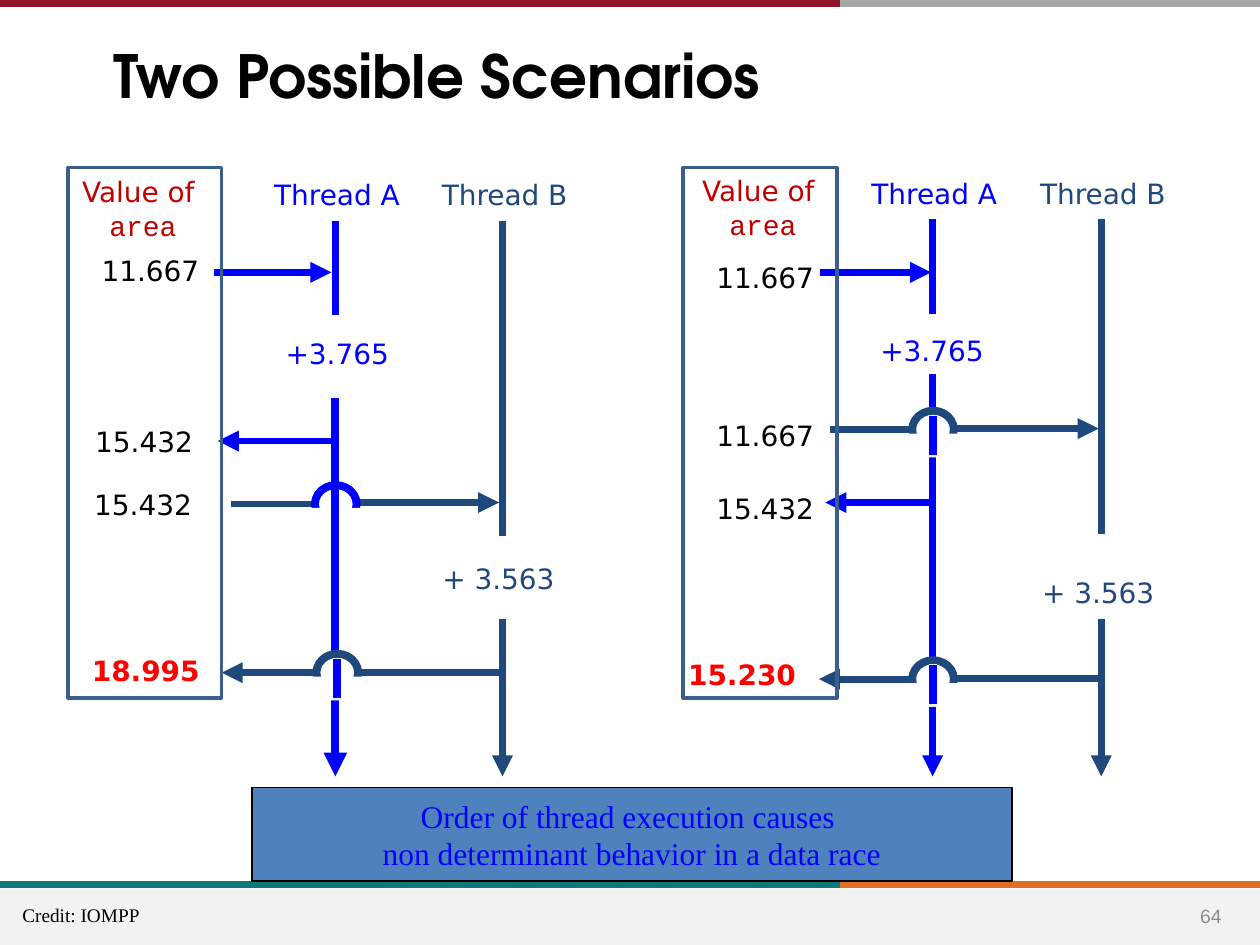
from dataclasses import dataclass

from lxml import etree
from pptx import Presentation, util as u
from pptx.dml.color import RGBColor
from pptx.enum import shapes, text
from pptx.oxml.ns import qn

BLACK = RGBColor(0x00, 0x00, 0x00)
WHITE = RGBColor(0xFF, 0xFF, 0xFF)
BLUE = RGBColor(0x00, 0x00, 0xFF)
NAVY = RGBColor(0x1F, 0x49, 0x7D)
RED = RGBColor(0xFF, 0x00, 0x00)
DARK_RED = RGBColor(0xC0, 0x00, 0x00)
FRAME = RGBColor(0x3A, 0x5F, 0x8C)
BANNER = RGBColor(0x4F, 0x81, 0xBD)
CREAM = RGBColor(0xEE, 0xEC, 0xE1)
FOOTER = RGBColor(0xF2, 0xF2, 0xF2)
PAGE_GREY = RGBColor(0x8C, 0x8C, 0x8C)
ORANGE = RGBColor(0xDF, 0x70, 0x23)
TEAL = RGBColor(0x0F, 0x78, 0x7D)
RULE_GREY = RGBColor(0xA6, 0xA6, 0xA6)
MAROON = RGBColor(0x90, 0x15, 0x2A)

SLIDE_WIDTH, SLIDE_HEIGHT, RULE_SPLIT = 25.4, 19.05, 16.93
LABEL_HEIGHT, THREAD_END = 0.94, 15.65
RECT, OVAL = shapes.MSO_SHAPE.RECTANGLE, shapes.MSO_SHAPE.OVAL


@dataclass(frozen=True)
class Label:
    words: str
    left: float
    top: float
    width: float = 2.51
    color: RGBColor = BLACK
    bold: bool = False
    height: float = LABEL_HEIGHT


@dataclass(frozen=True)
class Stroke:
    x1: float
    y1: float
    x2: float
    y2: float
    color: RGBColor
    arrow: bool = False
    weight: float = 4


@dataclass(frozen=True)
class Hop:
    """A half-circle where an arrow jumps over thread A."""
    left: float
    top: float
    color: RGBColor = NAVY
    under: RGBColor = CREAM


@dataclass(frozen=True)
class Scenario:
    panel: tuple[float, float]
    frame_left: float
    labels: list[Label]
    threads: list[Stroke]
    accesses: list[Stroke]
    hops: list[Hop]


SCENARIOS = [
    Scenario(
        panel=(1.07, 3.05), frame_left=1.37,
        labels=[
            Label("Value of \narea", 1.37, 3.4, 3.02, DARK_RED, height=1.63),
            Label("Thread A", 5.26, 3.45, 3.07, BLUE),
            Label("Thread B", 8.64, 3.45, 3.07, NAVY),
            Label("11.667", 1.78, 4.98),
            Label("+3.765", 5.49, 6.65, 2.62, BLUE),
            Label("15.432", 1.65, 8.43),
            Label("15.432", 1.63, 9.7),
            Label("+ 3.563", 8.64, 11.2, 2.82, NAVY),
            Label("18.995", 1.57, 13.06, 2.74, RED, True)],
        threads=[
            Stroke(6.76, 4.45, 6.76, 6.35, BLUE),
            Stroke(6.76, 8.03, 6.76, THREAD_END, BLUE, True, 4.5),
            Stroke(10.13, 4.45, 10.13, 10.8, NAVY),
            Stroke(10.13, 12.47, 10.13, THREAD_END, NAVY, True)],
        accesses=[
            Stroke(4.32, 5.49, 6.68, 5.49, BLUE, True),
            Stroke(6.76, 8.89, 4.39, 8.89, BLUE, True),
            Stroke(6.35, 10.16, 4.65, 10.16, NAVY),
            Stroke(7.16, 10.13, 10.06, 10.13, NAVY, True),
            Stroke(10.08, 13.56, 7.19, 13.56, NAVY),
            Stroke(6.38, 13.56, 4.47, 13.56, NAVY, True)],
        hops=[Hop(6.38, 13.18), Hop(6.35, 9.78, BLUE, BLUE)]),
    Scenario(
        panel=(12.93, 2.97), frame_left=13.77,
        labels=[
            Label("Value of \narea", 13.87, 3.38, 3.02, DARK_RED, height=1.63),
            Label("Thread A", 17.3, 3.43, 3.07, BLUE),
            Label("Thread B", 20.7, 3.43, 3.07, NAVY),
            Label("11.667", 14.17, 5.13),
            Label("+3.765", 17.48, 6.6, 2.62, BLUE),
            Label("11.667", 14.17, 8.31),
            Label("15.432", 14.17, 9.78),
            Label("+ 3.563", 20.73, 11.48, 2.82, NAVY),
            Label("15.230", 13.59, 13.13, 2.74, RED, True)],
        threads=[
            Stroke(18.8, 4.42, 18.8, 6.32, BLUE),
            Stroke(18.8, 7.54, 18.8, THREAD_END, BLUE, True),
            Stroke(22.2, 4.42, 22.2, 10.77, NAVY),
            Stroke(22.2, 12.47, 22.2, THREAD_END, NAVY, True)],
        accesses=[
            Stroke(16.54, 5.49, 18.77, 5.49, BLUE, True),
            Stroke(18.8, 10.13, 16.64, 10.13, BLUE, True),
            Stroke(18.44, 8.66, 16.74, 8.66, NAVY),
            Stroke(19.25, 8.64, 22.15, 8.64, NAVY, True),
            Stroke(22.17, 13.67, 19.28, 13.67, NAVY),
            Stroke(18.39, 13.69, 16.51, 13.69, NAVY, True)],
        hops=[Hop(18.39, 13.31), Hop(18.39, 8.28)]),
]


def write_text(shape, words: str, *, size: float, font: str, color: RGBColor,
               bold=False, align=text.PP_ALIGN.CENTER,
               anchor=text.MSO_ANCHOR.TOP, wrap=False, grow=False):
    frame = shape.text_frame
    frame.text = words
    frame.word_wrap = wrap
    frame.vertical_anchor = anchor
    frame.auto_size = (text.MSO_AUTO_SIZE.SHAPE_TO_FIT_TEXT if grow
                       else text.MSO_AUTO_SIZE.NONE)
    for paragraph in frame.paragraphs:
        paragraph.alignment = align
        for run in paragraph.runs:
            run.font.size, run.font.name, run.font.bold = u.Pt(size), font, bold
            run.font.color.rgb = color
    return frame


def add_text(slide, left: float, top: float, width: float, height: float,
             words: str, **style):
    box = slide.shapes.add_textbox(u.Cm(left), u.Cm(top), u.Cm(width), u.Cm(height))
    return write_text(box, words, **style)


def add_block(slide, kind, left: float, top: float, width: float, height: float,
              fill: RGBColor | None = None, line: RGBColor | None = None,
              weight: float = 1):
    block = slide.shapes.add_shape(kind, u.Cm(left), u.Cm(top), u.Cm(width), u.Cm(height))
    block.shadow.inherit = False
    if fill is None:
        block.fill.background()
    else:
        block.fill.solid()
        block.fill.fore_color.rgb = fill
    if line is None:
        block.line.fill.background()
    else:
        block.line.color.rgb = line
        block.line.width = u.Pt(weight)
    return block


def add_stroke(slide, stroke: Stroke) -> None:
    connector = slide.shapes.add_connector(
        shapes.MSO_CONNECTOR.STRAIGHT, u.Cm(stroke.x1), u.Cm(stroke.y1),
        u.Cm(stroke.x2), u.Cm(stroke.y2))
    connector.line.color.rgb = stroke.color
    connector.line.width = u.Pt(stroke.weight)
    if stroke.arrow:
        etree.SubElement(connector.line._get_or_add_ln(), qn("a:tailEnd"), type="triangle")
    etree.SubElement(connector._element.spPr, qn("a:effectLst"))


def add_hop(slide, hop: Hop) -> None:
    def drop(start: float, end: float, color: RGBColor) -> None:
        x = hop.left + 0.41
        add_stroke(slide, Stroke(x, hop.top + start, x, hop.top + end, color, weight=4.5))

    add_block(slide, OVAL, hop.left, hop.top, 0.84, 0.76, WHITE, hop.color, 4.5)
    drop(0.08, 0.66, hop.under)
    add_block(slide, RECT, hop.left - 0.25, hop.top + 0.46, 1.22, 0.48, WHITE)
    drop(0.48, 0.94, hop.under)
    drop(0.1, 0.89, BLUE)


def add_scenario(slide, scenario: Scenario) -> None:
    add_block(slide, RECT, *scenario.panel, 11.2, 13.59, WHITE)
    for label in scenario.labels:
        frame = add_text(slide, label.left, label.top, label.width, label.height,
                         label.words, size=16, font="DejaVu Sans",
                         color=label.color, bold=label.bold, grow=True)
        for variable in frame.paragraphs[1:]:
            variable.runs[0].font.name = "Courier New"
    for stroke in scenario.threads + scenario.accesses:
        add_stroke(slide, stroke)
    for hop in scenario.hops:
        add_hop(slide, hop)
    add_block(slide, RECT, scenario.frame_left, 3.38, 3.1, 10.69, line=FRAME, weight=2)


def add_title(slide, words: str) -> None:
    title = slide.shapes.title
    title.left, title.top = u.Cm(2.29), u.Cm(0.79)
    title.width, title.height = u.Cm(20.96), u.Cm(4.04)
    frame = write_text(title, words, size=34, font="TeX Gyre Adventor", color=BLACK,
                       bold=True, align=text.PP_ALIGN.LEFT, wrap=True)
    frame.margin_left = frame.margin_right = frame.margin_top = frame.margin_bottom = 0


def main() -> None:
    deck = Presentation()
    deck.slide_width, deck.slide_height = u.Cm(SLIDE_WIDTH), u.Cm(SLIDE_HEIGHT)
    slide = deck.slides.add_slide(deck.slide_layouts.get_by_name("Title Only"))

    for y, left_color, right_color in [(17.83, TEAL, ORANGE), (0.08, MAROON, RULE_GREY)]:
        add_stroke(slide, Stroke(RULE_SPLIT, y, SLIDE_WIDTH, y, right_color))
        add_stroke(slide, Stroke(0, y, RULE_SPLIT, y, left_color))
    add_block(slide, RECT, 0, 17.91, SLIDE_WIDTH, 1.14, FOOTER)
    add_title(slide, "Two Possible Scenarios")
    add_text(slide, 23.75, 17.96, 1.32, 1.02, "64", size=11, font="Arial",
             color=PAGE_GREY, anchor=text.MSO_ANCHOR.MIDDLE, wrap=True)

    for scenario in SCENARIOS:
        add_scenario(slide, scenario)

    banner = add_block(slide, RECT, 5.08, 15.88, 15.32, 1.88, BANNER, BLACK, 0.75)
    write_text(banner, "Order of thread execution causes \n"
               "non determinant behavior in a data race", size=18,
               font="Times New Roman", color=BLUE, anchor=text.MSO_ANCHOR.MIDDLE)
    add_text(slide, 0.2, 18.08, 2.9, 0.74, "Credit: IOMPP", size=11,
             font="Times New Roman", color=BLACK, align=text.PP_ALIGN.LEFT, grow=True)
    deck.save("out.pptx")


if __name__ == "__main__":
    main()
